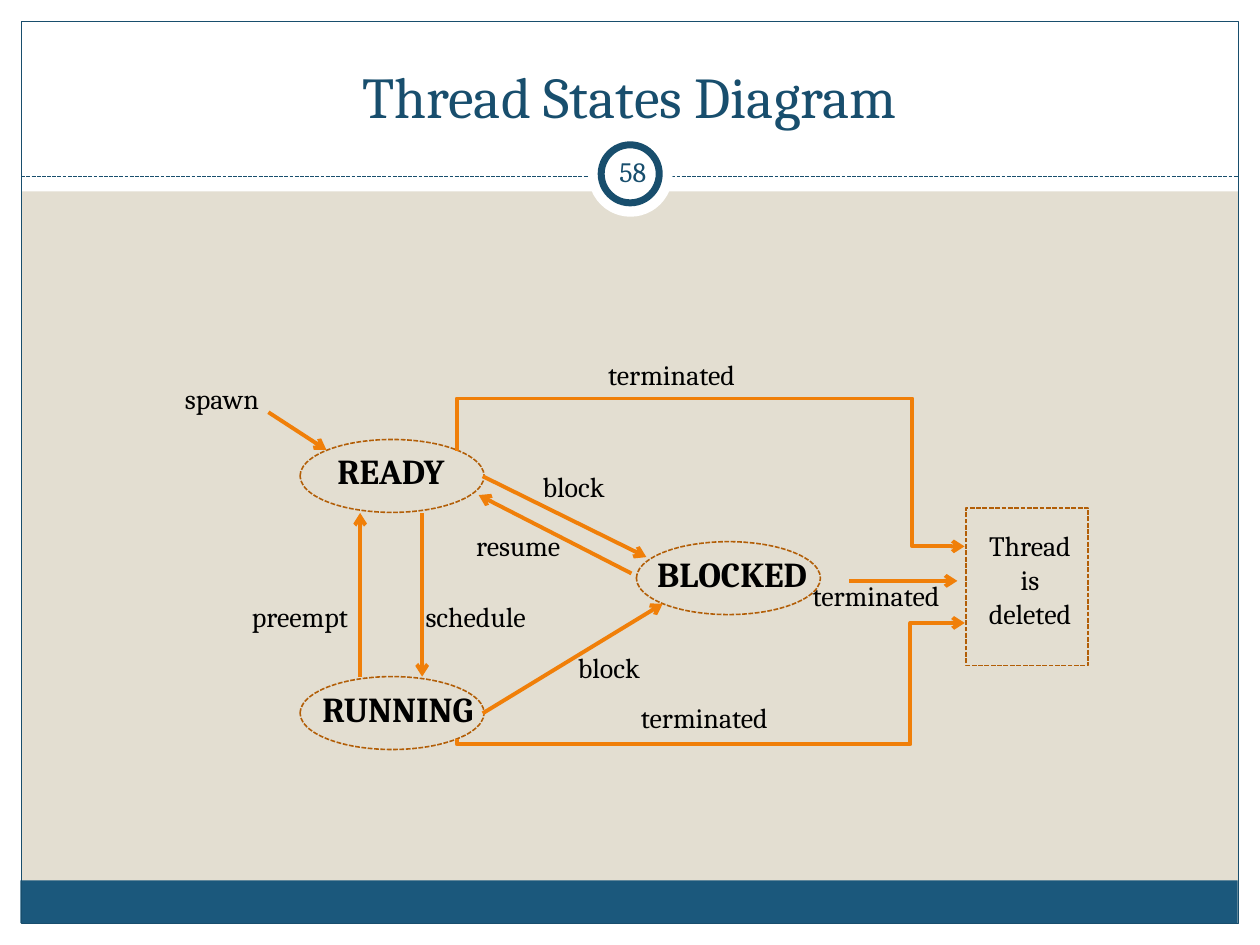
"""Build the thread states diagram slide."""
from typing import NamedTuple, Optional

from lxml import etree
from pptx import Presentation
from pptx.dml.color import RGBColor
from pptx.enum import dml, shapes, text
from pptx.oxml import ns
from pptx.util import Cm, Pt

WHITE = RGBColor(0xFF, 0xFF, 0xFF)
BLACK = RGBColor(0x00, 0x00, 0x00)
SAND = RGBColor(0xE3, 0xDE, 0xD1)
BLUE = RGBColor(0x1B, 0x58, 0x7C)
NAVY = RGBColor(0x18, 0x4E, 0x6D)
ORANGE = RGBColor(0xF0, 0x7F, 0x09)
BROWN = RGBColor(0xB2, 0x5E, 0x07)
FONT = "Cambria"
WIDTH, HEIGHT = 25.4, 19.05
MARGIN = 0.43
INNER = WIDTH - 2 * MARGIN
RECTANGLE = shapes.MSO_SHAPE.RECTANGLE
OVAL = shapes.MSO_SHAPE.OVAL
CENTER = text.PP_ALIGN.CENTER
DASH = dml.MSO_LINE.SQUARE_DOT


class Box(NamedTuple):
    left: float
    top: float
    width: float
    height: float


class Stroke(NamedTuple):
    color: RGBColor
    width: float
    dashed: bool = False


class Figure(NamedTuple):
    kind: shapes.MSO_SHAPE
    box: Box
    fill: Optional[RGBColor] = None
    stroke: Optional[Stroke] = None


class Label(NamedTuple):
    lines: tuple[str, ...]
    box: Box
    size: float = 16
    color: RGBColor = BLACK
    bold: bool = False
    align: Optional[text.PP_ALIGN] = None
    anchor: text.MSO_ANCHOR = text.MSO_ANCHOR.TOP
    inset: Optional[float] = None


class Line(NamedTuple):
    start: tuple[float, float]
    end: tuple[float, float]
    stroke: Stroke
    arrow: bool = True


class Elbow(NamedTuple):
    line: Line
    rotation: int
    bends: tuple[int, int]


ARROW = Stroke(ORANGE, 2.25)
OUTLINE = Stroke(BROWN, 0.9, True)

BACKDROP = [
    Figure(RECTANGLE, Box(0, HEIGHT - MARGIN, WIDTH, MARGIN), WHITE),
    Figure(RECTANGLE, Box(0, 0, WIDTH, 3.86), WHITE),
    Figure(RECTANGLE, Box(0, 0, MARGIN, HEIGHT), WHITE),
    Figure(RECTANGLE, Box(WIDTH - MARGIN, 0, MARGIN, HEIGHT), WHITE),
    Figure(RECTANGLE, Box(0.41, 17.75, INNER, 0.86), BLUE),
    Figure(RECTANGLE, Box(MARGIN, MARGIN, INNER, HEIGHT - 2 * MARGIN), None, Stroke(NAVY, 0.75)),
]
DIVIDER = Line((MARGIN, 3.56), (WIDTH - MARGIN, 3.56), Stroke(NAVY, 0.75, True), False)
BADGE = [
    Figure(OVAL, Box(11.86, 2.67, 1.7, 1.7), WHITE),
    Figure(OVAL, Box(12.12, 2.92, 1.17, 1.17), WHITE, Stroke(NAVY, 4)),
]
HEADINGS = [
    Label(("Thread States Diagram",), Box(0.84, 0.64, 23.7, 2.11), 33, NAVY,
          align=CENTER, anchor=text.MSO_ANCHOR.BOTTOM),
    Label(("58",), Box(12.12, 2.84, 1.27, 1.22), 16, NAVY,
          align=CENTER, anchor=text.MSO_ANCHOR.MIDDLE, inset=0.13),
]
STATES = [
    ("BLOCKED", 12.83, 10.92, 13, 11.02),
    ("READY", 6.05, 8.86, 6.55, 8.94),
    ("RUNNING", 6.05, 13.64, 6.25, 13.74),
]
DELETED = Figure(RECTANGLE, Box(19.48, 10.24, 2.46, 3.18), None, OUTLINE)
DELETED_LABEL = Label(("Thread", "is", "deleted"), Box(19.43, 10.54, 2.67, 2.46), align=CENTER)
TRANSITIONS = [
    ((5.41, 8.31), (6.58, 9.07)),
    ((8.51, 10.34), (8.51, 13.64)),
    ((7.26, 13.64), (7.26, 10.34)),
    ((12.73, 11.56), (9.65, 9.98)),
    ((9.73, 9.6), (13.03, 11.23)),
    ((9.73, 14.38), (13.36, 12.17)),
    ((17.12, 11.71), (19.3, 11.71)),
]
ELBOWS = [
    Elbow(Line((15.29, 4.93), (13.36, 15.17), ARROW), 270, (-54500, 89700)),
    Elbow(Line((15.5, 18.85), (13.16, 8.61), ARROW), 90, (-4500, 89300)),
]
EVENTS = [
    ("schedule", 8.33, 11.96),
    ("preempt", 4.83, 11.96),
    ("block", 10.69, 9.35),
    ("resume", 9.35, 10.54),
    ("block", 11.4, 12.98),
    ("spawn", 3.48, 7.57),
    ("terminated", 12.01, 7.09),
    ("terminated", 12.67, 14),
    ("terminated", 16.13, 11.53),
]
EVENT_WIDTHS = {"block": 2.18, "resume": 2.69, "terminated": 3.61}


def apply_stroke(line, stroke: Stroke) -> None:
    """Set colour, width and dash of a line."""
    line.color.rgb = stroke.color
    line.width = Pt(stroke.width)
    if stroke.dashed:
        line.dash_style = DASH


def draw_figure(page, figure: Figure) -> None:
    """Draw a preset shape."""
    shape = page.shapes.add_shape(figure.kind, *map(Cm, figure.box))
    shape.shadow.inherit = False
    if figure.fill is None:
        shape.fill.background()
    else:
        shape.fill.solid()
        shape.fill.fore_color.rgb = figure.fill
    if figure.stroke is None:
        shape.line.fill.background()
    else:
        apply_stroke(shape.line, figure.stroke)


def draw_label(page, label: Label) -> None:
    """Draw a text box with one paragraph per line."""
    frame = page.shapes.add_textbox(*map(Cm, label.box)).text_frame
    frame.word_wrap = True
    frame.vertical_anchor = label.anchor
    if label.inset is not None:
        frame.margin_left = frame.margin_right = Cm(label.inset)
        frame.margin_top = frame.margin_bottom = Cm(label.inset)
    for index, words in enumerate(label.lines):
        para = frame.add_paragraph() if index else frame.paragraphs[0]
        para.alignment = label.align
        span = para.add_run()
        span.text = words
        span.font.name = FONT
        span.font.size = Pt(label.size)
        span.font.bold = label.bold
        span.font.color.rgb = label.color


def draw_line(page, line: Line, kind=shapes.MSO_CONNECTOR.STRAIGHT):
    """Draw a connector, with an arrowhead at its end if asked."""
    connector = page.shapes.add_connector(kind, *map(Cm, line.start + line.end))
    apply_stroke(connector.line, line.stroke)
    properties = connector.element.spPr
    if line.arrow:
        etree.SubElement(properties.find(ns.qn("a:ln")), ns.qn("a:tailEnd"), type="arrow")
    etree.SubElement(properties, ns.qn("a:effectLst"))
    return connector


def draw_elbow(page, elbow: Elbow) -> None:
    """Draw a rotated connector with three bends."""
    connector = draw_line(page, elbow.line, shapes.MSO_CONNECTOR.ELBOW)
    properties = connector.element.spPr
    properties.find(ns.qn("a:xfrm")).set("rot", str(elbow.rotation * 60000))
    geometry = properties.find(ns.qn("a:prstGeom"))
    geometry.set("prst", "bentConnector4")
    guides = geometry.find(ns.qn("a:avLst"))
    if guides is None:
        guides = etree.SubElement(geometry, ns.qn("a:avLst"))
    for number, bend in enumerate(elbow.bends, 1):
        etree.SubElement(guides, ns.qn("a:gd"), name=f"adj{number}", fmla=f"val {bend}")


def main() -> None:
    """Assemble and save the deck."""
    deck = Presentation()
    deck.slide_width, deck.slide_height = Cm(WIDTH), Cm(HEIGHT)
    page = deck.slides.add_slide(deck.slide_layouts[6])
    page.background.fill.solid()
    page.background.fill.fore_color.rgb = SAND
    for figure in BACKDROP:
        draw_figure(page, figure)
    draw_line(page, DIVIDER)
    for figure in BADGE:
        draw_figure(page, figure)
    for heading in HEADINGS:
        draw_label(page, heading)
    for name, left, top, label_left, label_top in STATES:
        draw_figure(page, Figure(OVAL, Box(left, top, 3.71, 1.47), None, OUTLINE))
        draw_label(page, Label((name,), Box(label_left, label_top, 4.27, 1.37), 20, bold=True))
    for start, end in TRANSITIONS:
        draw_line(page, Line(start, end, ARROW))
    draw_figure(page, DELETED)
    draw_label(page, DELETED_LABEL)
    for elbow in ELBOWS:
        draw_elbow(page, elbow)
    for name, left, top in EVENTS:
        draw_label(page, Label((name,), Box(left, top, EVENT_WIDTHS.get(name, 3), 1.09)))
    deck.save("out.pptx")


if __name__ == "__main__":
    main()
